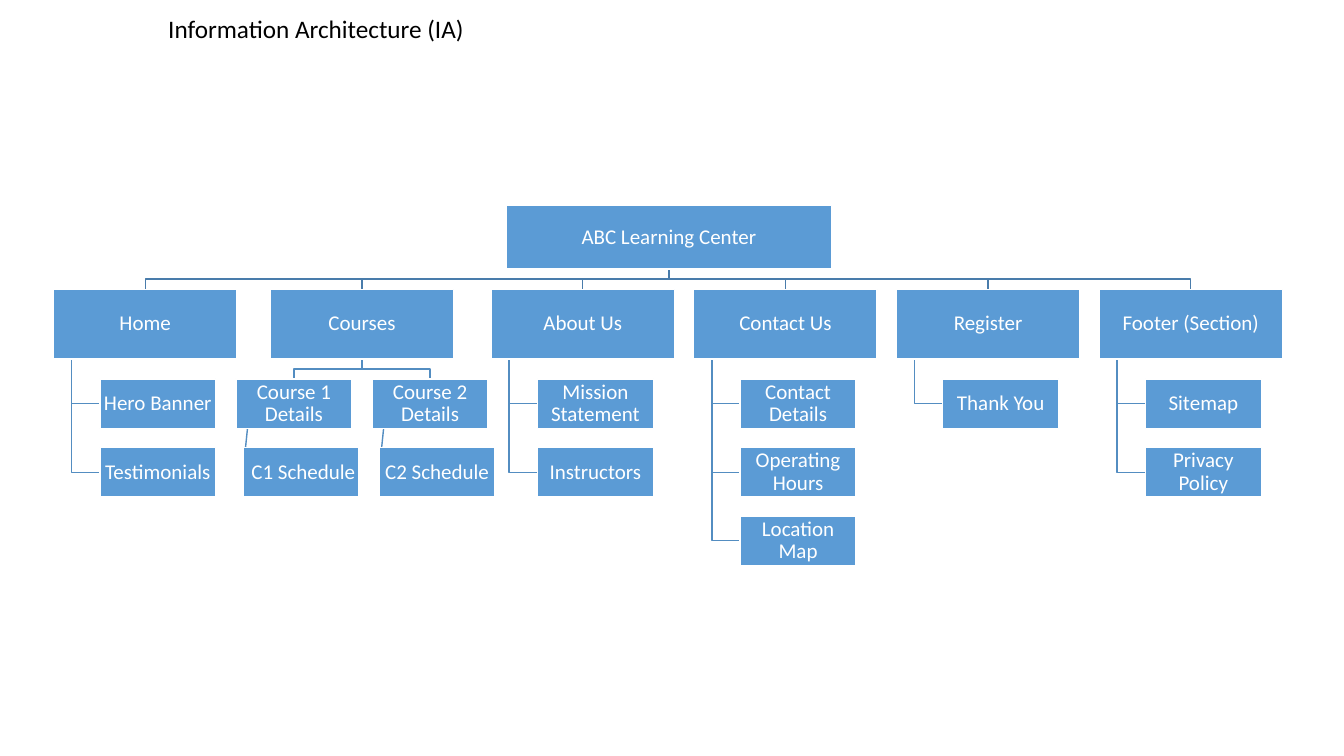
from dataclasses import dataclass

from lxml.etree import SubElement
from pptx import Presentation
from pptx.dml.color import RGBColor
from pptx.enum.shapes import MSO_CONNECTOR as Connector, MSO_SHAPE as Shape
from pptx.enum.text import MSO_ANCHOR as Anchor, PP_ALIGN as Align
from pptx.oxml.ns import qn
from pptx.shapes.autoshape import Shape as Box
from pptx.shapes.connector import Connector as Link
from pptx.slide import Slide
from pptx.text.text import _Paragraph as Paragraph
from pptx.util import Inches, Pt

COLORS = {
    "box": "5B9BD5",
    "edge": "FFFFFF",
    "label": "FFFFFF",
    "title": "000000",
    "trunk": "497CAB",
    "branch": "538DC1",
}
FONT = "Calibri"
ROOT_LEFT, ROOT_TOP, ROOT_WIDTH, ROOT_HEIGHT = 5.02, 2.04, 3.23, 0.63
SECTION_TOP, SECTION_WIDTH, SECTION_HEIGHT = 2.87, 1.82, 0.69
SECTION_BOTTOM = SECTION_TOP + SECTION_HEIGHT
SECTION_STEP = 2.01
PAGE_TOP, PAGE_WIDTH, PAGE_HEIGHT = 3.76, 1.15, 0.49
ROW_STEP, PAGE_INDENT, STEM_INDENT = 0.68, 0.46, 0.18
COURSE_LEFT, COURSE_STEP, SCHEDULE_INDENT = 2.34, 1.35, 0.07
DROP = 0.1

Point = tuple[float, float]


@dataclass(frozen=True)
class Section:
    name: str
    left: float
    pages: tuple[str, ...] = ()

    @property
    def center(self) -> float:
        return self.left + SECTION_WIDTH / 2


@dataclass(frozen=True)
class Course:
    name: str
    schedule: str
    left: float


COURSES_SECTION = Section("Courses", 2.68)
MENU = (
    ("About Us", ("Mission Statement", "Instructors")),
    ("Contact Us", ("Contact Details", "Operating Hours", "Location Map")),
    ("Register", ("Thank You",)),
    ("Footer (Section)", ("Sitemap", "Privacy Policy")),
)
SECTIONS = (
    Section("Home", 0.53, ("Hero Banner", "Testimonials")),
    COURSES_SECTION,
    *(Section(name, 4.87 + SECTION_STEP * index, pages)
      for index, (name, pages) in enumerate(MENU)),
)
COURSES = (
    Course("Course 1 Details", " C1 Schedule", COURSE_LEFT),
    Course("Course 2 Details", "C2 Schedule", COURSE_LEFT + COURSE_STEP),
)


def color(name: str) -> RGBColor:
    return RGBColor.from_string(COLORS[name])


def row_top(row: int) -> float:
    return PAGE_TOP + ROW_STEP * row


def add_text(para: Paragraph, text: str, size: float, tint: str) -> None:
    para.line_spacing = 0.9
    span = para.add_run()
    span.text = text
    span.font.name = FONT
    span.font.size = Pt(size)
    span.font.color.rgb = color(tint)


def add_box(page: Slide, text: str, left: float, top: float,
            width: float, height: float) -> Box:
    box = page.shapes.add_shape(
        Shape.RECTANGLE, Inches(left), Inches(top), Inches(width), Inches(height))
    box.shadow.inherit = False
    box.fill.solid()
    box.fill.fore_color.rgb = color("box")
    box.line.color.rgb = color("edge")
    box.line.width = Pt(1)
    frame = box.text_frame
    frame.word_wrap = True
    frame.vertical_anchor = Anchor.MIDDLE
    frame.margin_left = frame.margin_right = Inches(0.01)
    frame.margin_top = frame.margin_bottom = Inches(0.01)
    para = frame.paragraphs[0]
    para.alignment = Align.CENTER
    add_text(para, text, 15, "label")
    return box


def add_page_box(page: Slide, text: str, left: float, row: int) -> Box:
    return add_box(page, text, left, row_top(row), PAGE_WIDTH, PAGE_HEIGHT)


def add_bend(page: Slide, points: list[Point], tint: str) -> None:
    start, *rest = [(Inches(x), Inches(y)) for x, y in points]
    builder = page.shapes.build_freeform(*start)
    builder.add_line_segments(rest, close=False)
    bend = builder.convert_to_shape()
    bend.shadow.inherit = False
    bend.fill.background()
    bend.line.color.rgb = color(tint)
    bend.line.width = Pt(1)


def add_fork(page: Slide, x: float, top: float, child_x: float,
             bottom: float, tint: str) -> None:
    bar = bottom - DROP
    add_bend(page, [(x, top), (x, bar), (child_x, bar), (child_x, bottom)], tint)


def add_schedule_link(page: Slide, course: Course) -> Link:
    link = page.shapes.add_connector(
        Connector.STRAIGHT,
        Inches(course.left + PAGE_WIDTH / 10), Inches(PAGE_TOP + PAGE_HEIGHT),
        Inches(course.left + SCHEDULE_INDENT), Inches(row_top(1) + PAGE_HEIGHT / 2))
    link.line.color.rgb = color("branch")
    link.line.width = Pt(1)
    SubElement(link.element.spPr, qn("a:effectLst"))
    return link


def add_lines(page: Slide) -> list[Link]:
    root_center = ROOT_LEFT + ROOT_WIDTH / 2
    for section in SECTIONS:
        add_fork(page, root_center, ROOT_TOP + ROOT_HEIGHT,
                 section.center, SECTION_TOP, "trunk")
        stem = section.left + STEM_INDENT
        for row in range(len(section.pages)):
            middle = row_top(row) + PAGE_HEIGHT / 2
            add_bend(page, [(stem, SECTION_BOTTOM), (stem, middle),
                            (section.left + PAGE_INDENT, middle)], "branch")
    for course in COURSES:
        add_fork(page, COURSES_SECTION.center, SECTION_BOTTOM,
                 course.left + PAGE_WIDTH / 2, PAGE_TOP, "branch")
    return [add_schedule_link(page, course) for course in COURSES]


def add_boxes(page: Slide, links: list[Link]) -> None:
    add_box(page, "ABC Learning Center", ROOT_LEFT, ROOT_TOP, ROOT_WIDTH, ROOT_HEIGHT)
    for section in SECTIONS:
        add_box(page, section.name, section.left, SECTION_TOP,
                SECTION_WIDTH, SECTION_HEIGHT)
        for row, name in enumerate(section.pages):
            add_page_box(page, name, section.left + PAGE_INDENT, row)
    for course, link in zip(COURSES, links):
        add_page_box(page, course.name, course.left, 0)
        schedule = add_page_box(page, course.schedule, course.left + SCHEDULE_INDENT, 1)
        link.end_connect(schedule, 1)


def add_title(page: Slide) -> None:
    title = page.shapes.add_textbox(
        Inches(1.57), Inches(0.12), Inches(7.22), Inches(0.32))
    title.text_frame.word_wrap = True
    add_text(title.text_frame.paragraphs[0], "Information Architecture (IA)", 18, "title")


def main() -> None:
    deck = Presentation()
    deck.slide_width, deck.slide_height = Inches(13.33), Inches(7.5)
    page = deck.slides.add_slide(deck.slide_layouts[6])
    links = add_lines(page)
    add_boxes(page, links)
    add_title(page)
    deck.save("out.pptx")


if __name__ == "__main__":
    main()
